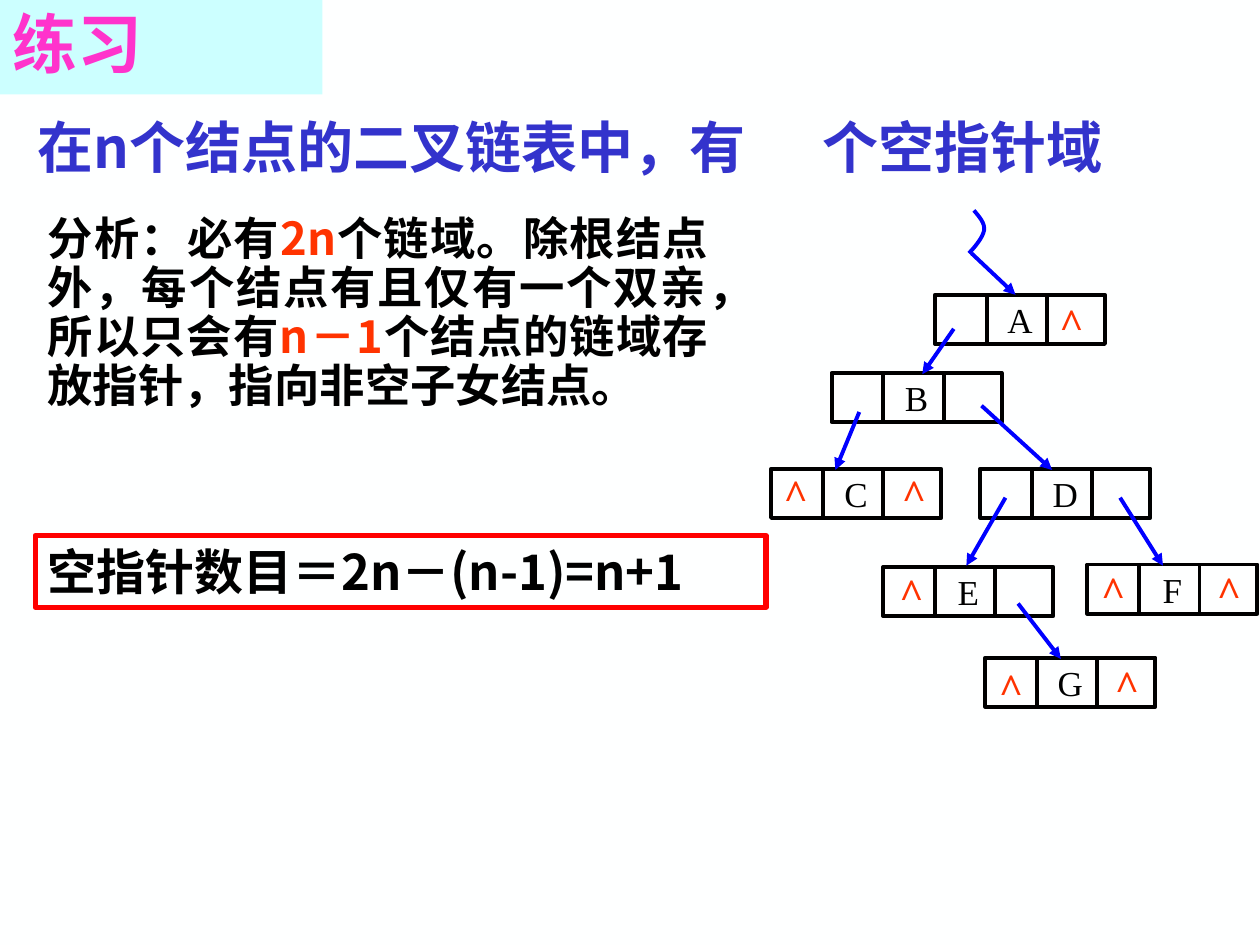
from lxml import etree
from pptx import Presentation
from pptx.dml.color import RGBColor
from pptx.enum.shapes import MSO_CONNECTOR, MSO_SHAPE
from pptx.enum.text import MSO_ANCHOR, MSO_AUTO_SIZE, PP_ALIGN
from pptx.oxml.ns import qn
from pptx.util import Inches, Pt

RECT = MSO_SHAPE.RECTANGLE
STRAIGHT = MSO_CONNECTOR.STRAIGHT
TOP, MIDDLE = MSO_ANCHOR.TOP, MSO_ANCHOR.MIDDLE
LEFT, CENTER, JUSTIFY = PP_ALIGN.LEFT, PP_ALIGN.CENTER, PP_ALIGN.JUSTIFY
NO_FIT = MSO_AUTO_SIZE.NONE

SANS, SERIF = "Noto Sans CJK SC", "Times New Roman"
COLORS = {
    "background": "FEFFFF", "banner": "CCFFFF", "title": "FF33CC",
    "question": "3333CC", "text": "000000", "accent": "FF3300",
    "frame": "FF0000", "pointer": "0000FF",
}
NODE_W, NODE_H = 1.35, 0.39
DIVIDERS = (0.41, 0.89)
LINE_W = 2.25
NODES = {
    "A": (7.42, 2.34), "B": (6.6, 2.96), "C": (6.12, 3.72), "D": (7.78, 3.72),
    "E": (7.01, 4.5), "F": (8.63, 4.48), "G": (7.82, 5.22),
}
POINTERS = [
    (7.57, 2.61, 7.32, 2.97), (6.82, 3.27, 6.63, 3.73),
    (7.79, 3.22, 8.35, 3.73), (7.98, 3.95, 7.67, 4.49),
    (8.89, 3.95, 9.23, 4.49), (8.08, 4.79, 8.42, 5.23),
    (7.71, 2.01, 8.06, 2.34),
]
NULLS = [
    (8.31, 2.3), (6.12, 3.66), (7.06, 3.66), (7.04, 4.45),
    (8.64, 4.43), (9.56, 4.43), (7.83, 5.2), (8.75, 5.18),
]
ROOT_CURVE = [
    ((7.73, 1.67), (7.77, 1.72), (7.82, 1.77), (7.81, 1.83)),
    ((7.81, 1.83), (7.8, 1.89), (7.72, 1.98), (7.69, 2.01)),
]
CURVE_STEPS = 8


def rgb(name):
    return RGBColor.from_string(COLORS[name])


def set_line(sp, color, width):
    sp.line.color.rgb = rgb(color)
    sp.line.width = Pt(width)


def set_text(sp, runs, size, font=SANS, bold=True, align=LEFT, anchor=MIDDLE, spacing=1.0):
    tf = sp.text_frame
    tf.word_wrap = True
    tf.auto_size = NO_FIT
    tf.vertical_anchor = anchor
    tf.margin_left = tf.margin_right = Inches(0.1)
    tf.margin_top = tf.margin_bottom = Inches(0.05)
    p = tf.paragraphs[0]
    p.alignment = align
    p.line_spacing = spacing
    p.space_before = Pt(0)
    for text, color in runs:
        r = p.add_run()
        r.text = text
        r.font.name = font
        r.font.size = Pt(size)
        r.font.bold = bold
        r.font.color.rgb = rgb(color)
        etree.SubElement(r.font._element, qn("a:ea"), typeface=font)
    return p


def add_text(shapes, x, y, w, h, runs, size, **style):
    sp = shapes.add_textbox(Inches(x), Inches(y), Inches(w), Inches(h))
    return set_text(sp, runs, size, **style)


def add_frame(shapes, x, y, w, h, color, width):
    sp = shapes.add_shape(RECT, Inches(x), Inches(y), Inches(w), Inches(h))
    sp.shadow.inherit = False
    sp.fill.background()
    set_line(sp, color, width)
    return sp


def add_line(shapes, x1, y1, x2, y2, color, arrow=False):
    cx = shapes.add_connector(STRAIGHT, Inches(x1), Inches(y1), Inches(x2), Inches(y2))
    set_line(cx, color, LINE_W)
    if arrow:
        etree.SubElement(cx.line._get_or_add_ln(), qn("a:tailEnd"), type="triangle")
    etree.SubElement(cx._element.spPr, qn("a:effectLst"))


def add_node(shapes, label, x, y):
    sp = add_frame(shapes, x, y, NODE_W, NODE_H, "text", LINE_W)
    set_text(sp, [(label, "text")], 20, font=SERIF, bold=False, align=CENTER)
    for dx in DIVIDERS:
        add_line(shapes, x + dx, y, x + dx, y + NODE_H, "text")


def bezier_point(curve, t):
    weights = ((1 - t) ** 3, 3 * t * (1 - t) ** 2, 3 * t * t * (1 - t), t ** 3)
    return tuple(Inches(sum(w * pt[axis] for w, pt in zip(weights, curve))) for axis in (0, 1))


def add_root_curve(shapes):
    start = bezier_point(ROOT_CURVE[0], 0)
    points = [bezier_point(curve, i / CURVE_STEPS)
              for curve in ROOT_CURVE for i in range(1, CURVE_STEPS + 1)]
    builder = shapes.build_freeform(*start)
    builder.add_line_segments(points, close=False)
    sp = builder.convert_to_shape()
    sp.shadow.inherit = False
    sp.fill.background()
    set_line(sp, "pointer", LINE_W)


def add_title(s):
    sp = s.shapes.title
    sp.left, sp.top, sp.width, sp.height = 0, 0, Inches(2.56), Inches(0.75)
    sp.fill.solid()
    sp.fill.fore_color.rgb = rgb("banner")
    set_text(sp, [("练习", "title")], 37, spacing=0.9)


def add_question(shapes):
    runs = [("在n个结点的二叉链表中，有", "question"), ("\t", "question"), ("个空指针域", "question")]
    p = add_text(shapes, 0.2, 0.84, 9.8, 0.64, runs, 32)
    p.runs[1].font.underline = True
    tabs = etree.SubElement(p._p.get_or_add_pPr(), qn("a:tabLst"))
    etree.SubElement(tabs, qn("a:tab"), pos=str(Inches(6.23)), algn="l")


def add_tree(shapes):
    for label, (x, y) in NODES.items():
        add_node(shapes, label, x, y)
    for ends in POINTERS:
        add_line(shapes, *ends, "pointer", arrow=True)
    add_root_curve(shapes)
    for x, y in NULLS:
        add_text(shapes, x, y, 0.39, 0.5, [("^", "accent")], 24, font=SERIF, align=CENTER)


def main():
    prs = Presentation()
    prs.slide_width, prs.slide_height = Inches(10), Inches(7.5)
    s = prs.slides.add_slide(prs.slide_layouts[5])
    s.background.fill.solid()
    s.background.fill.fore_color.rgb = rgb("background")
    add_title(s)
    add_question(s.shapes)
    analysis = [
        ("分析：必有", "text"), ("2n", "accent"),
        ("个链域。除根结点外，每个结点有且仅有一个双亲，所以只会有", "text"),
        ("n－1", "accent"), ("个结点的链域存放指针，指向非空子女结点。", "text"),
    ]
    add_text(s.shapes, 0.28, 1.67, 5.44, 2.36, analysis, 25.9,
             align=JUSTIFY, anchor=TOP, spacing=0.9)
    answer = add_frame(s.shapes, 0.28, 4.25, 5.8, 0.57, "frame", 3)
    set_text(answer, [("空指针数目＝2n－(n-1)=n+1", "text")], 28, anchor=TOP)
    add_tree(s.shapes.add_group_shape().shapes)
    prs.save("out.pptx")


if __name__ == "__main__":
    main()
